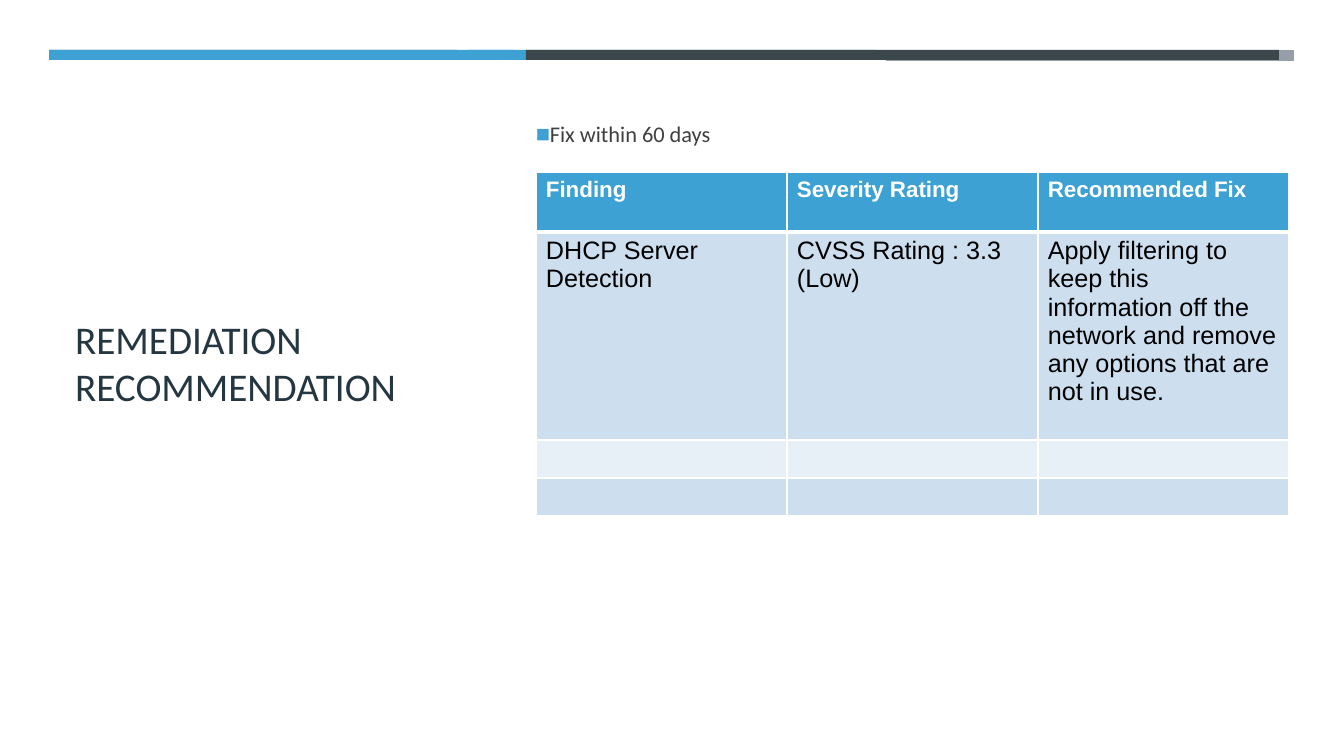
import pptx
import pptx.dml.color
import pptx.enum.shapes
import pptx.enum.text
import pptx.oxml
import pptx.oxml.ns
import pptx.util
import lxml.etree

RGBColor = pptx.dml.color.RGBColor
WHITE = RGBColor(0xFF, 0xFF, 0xFF)
BLACK = RGBColor(0x00, 0x00, 0x00)
BLUE = RGBColor(0x3D, 0xA2, 0xD3)
SLATE = RGBColor(0x46, 0x53, 0x59)
GRAY = RGBColor(0x96, 0x9F, 0xA7)
CHARCOAL = RGBColor(0x3C, 0x47, 0x4C)
TITLE_COLOR = RGBColor(0x24, 0x37, 0x41)
BODY_COLOR = RGBColor(0x3F, 0x3F, 0x3F)
BAND_DARK = RGBColor(0xCD, 0xDF, 0xEF)
BAND_LIGHT = RGBColor(0xE8, 0xF0, 0xF7)
SLIDE_WIDTH, SLIDE_HEIGHT = 1344, 756
EMU_PER_PX = 12192000 / SLIDE_WIDTH
qn = pptx.oxml.ns.qn


def px(length):
    return pptx.util.Emu(round(length * EMU_PER_PX))


def add_run(paragraph, text, font_name, size, color, bold=False):
    run = paragraph.add_run()
    run.text = text
    run.font.name = font_name
    run.font.size = pptx.util.Pt(size)
    run.font.color.rgb = color
    run.font.bold = bold


presentation = pptx.Presentation()
presentation.slide_width = px(SLIDE_WIDTH)
presentation.slide_height = px(SLIDE_HEIGHT)
slide = presentation.slides.add_slide(presentation.slide_layouts[1])

bars = [
    (49, 408, 10, SLATE),
    (886, 408, 11, GRAY),
    (468, 408, 10, BLUE),
    (49, 465, 10, BLUE),
    (526, 753, 10, CHARCOAL),
]
for left, width, height, color in bars:
    bar = slide.shapes.add_shape(
        pptx.enum.shapes.MSO_SHAPE.RECTANGLE, px(left), px(50), px(width), px(height))
    bar.shadow.inherit = False
    bar.fill.solid()
    bar.fill.fore_color.rgb = color
    bar.line.fill.background()

title, body = slide.placeholders
texts = [
    (title, (65, 78, 450, 568), "REMEDIATION RECOMMENDATION", 28, TITLE_COLOR),
    (body, (526, 98, 715, 72), "Fix within 60 days", 16, BODY_COLOR),
]
for placeholder, box, text, size, color in texts:
    placeholder.left, placeholder.top, placeholder.width, placeholder.height = map(px, box)
    text_frame = placeholder.text_frame
    text_frame.word_wrap = True
    text_frame.auto_size = pptx.enum.text.MSO_AUTO_SIZE.NONE
    text_frame.vertical_anchor = pptx.enum.text.MSO_ANCHOR.MIDDLE
    paragraph = text_frame.paragraphs[0]
    paragraph.alignment = pptx.enum.text.PP_ALIGN.LEFT
    paragraph.space_before = pptx.util.Pt(0)
    add_run(paragraph, text, "Calibri", size, color)

properties = body.text_frame.paragraphs[0]._p.get_or_add_pPr()
properties.set("marL", "0")
properties.set("indent", str(-px(10)))
bullet_color = lxml.etree.SubElement(properties, qn("a:buClr"))
lxml.etree.SubElement(bullet_color, qn("a:srgbClr")).set("val", str(BLUE))
lxml.etree.SubElement(properties, qn("a:buChar")).set("char", "◼")

findings = [
    [["Finding"], ["Severity Rating"], ["Recommended Fix"]],
    [["DHCP Server Detection"], ["CVSS Rating : 3.3 (Low)"],
     ["Apply filtering to keep this information off the network and remove",
      "any options that are not in use."]],
    [[], [], []],
    [[], [], []],
]
row_heights = [60, 208, 38, 38]
row_fills = [BLUE, BAND_DARK, BAND_LIGHT, BAND_DARK]
column_width = 251
table = slide.shapes.add_table(
    4, 3, px(536), px(172), px(3 * column_width), px(sum(row_heights))).table
for column in table.columns:
    column.width = px(column_width)

for row_index, row_texts in enumerate(findings):
    table.rows[row_index].height = px(row_heights[row_index])
    is_header = row_index == 0
    for column_index, paragraphs in enumerate(row_texts):
        cell = table.cell(row_index, column_index)
        cell.margin_left = cell.margin_right = px(10)
        cell.margin_top = cell.margin_bottom = px(5 if paragraphs else 0)
        for index, text in enumerate(paragraphs):
            if index:
                cell.text_frame.add_paragraph()
            add_run(cell.text_frame.paragraphs[index], text, "Arial",
                    16 if is_header else 18, WHITE if is_header else BLACK, is_header)
        cell_properties = cell._tc.get_or_add_tcPr()
        for side in ("L", "R", "T", "B"):
            thick = (is_header and side == "B") or (row_index == 1 and side == "T")
            border = lxml.etree.SubElement(cell_properties, qn("a:ln" + side))
            border.set("w", str(pptx.util.Pt(3 if thick else 1)))
            border_fill = lxml.etree.SubElement(border, qn("a:solidFill"))
            lxml.etree.SubElement(border_fill, qn("a:srgbClr")).set("val", str(WHITE))
        cell.fill.solid()
        cell.fill.fore_color.rgb = row_fills[row_index]

presentation.save("out.pptx")
